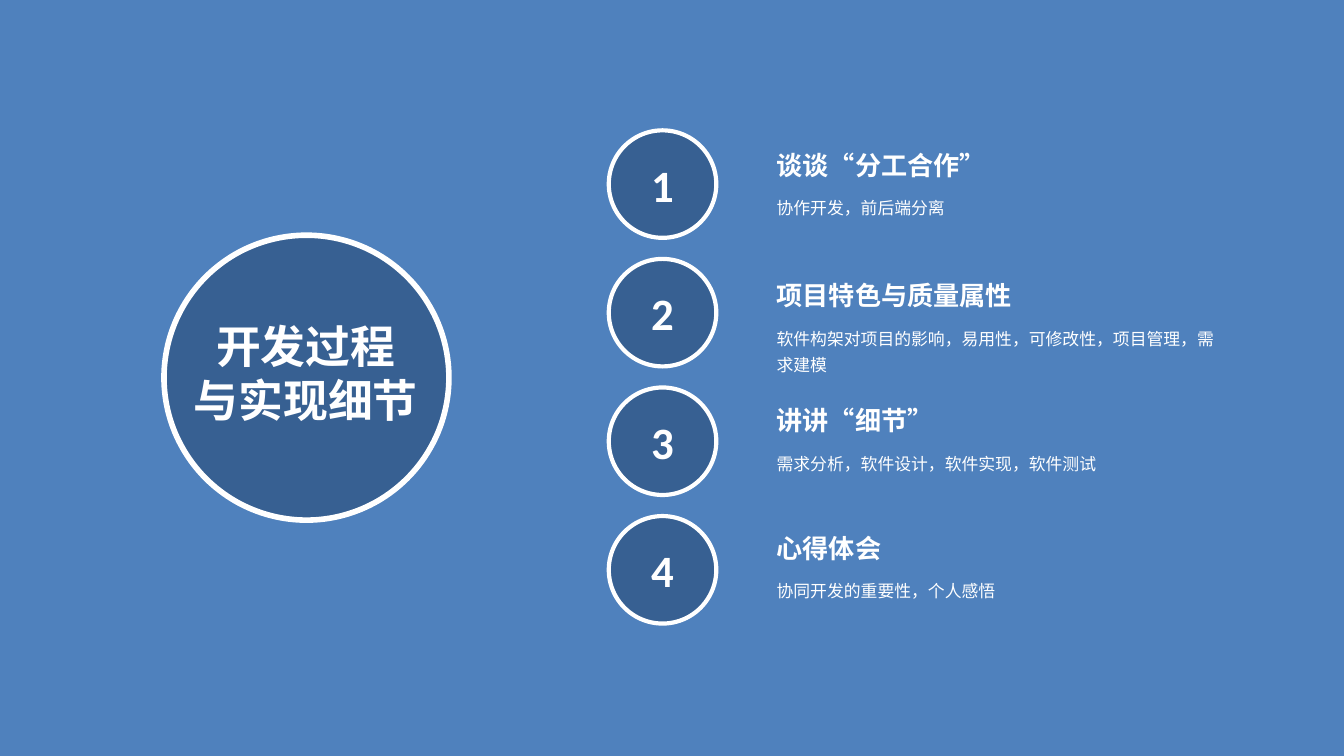
from lxml import etree
from pptx import Presentation
from pptx.dml.color import RGBColor
from pptx.enum import shapes, text
from pptx.oxml.ns import qn
from pptx.util import Inches, Pt

WHITE, BLUE, NAVY = "FFFFFF", "4F81BD", "376092"
CJK = "Noto Sans CJK SC"


def add_run(paragraph, words, size, bold=False, font="Calibri"):
    run = paragraph.add_run()
    run.text = words
    run.font.size = Pt(size)
    run.font.bold = bold
    run.font.name = font
    run.font.color.rgb = RGBColor.from_string(WHITE)
    properties = run._r.get_or_add_rPr()
    properties.set("lang", "zh-CN")
    etree.SubElement(properties, qn("a:ea")).set("typeface", CJK)


def add_panel(kind, left, top, width, height, fill, outline=None):
    panel = slide.shapes.add_shape(kind, left, top, width, height)
    panel.shadow.inherit = False
    panel.fill.solid()
    panel.fill.fore_color.rgb = RGBColor.from_string(fill)
    if outline:
        panel.line.color.rgb = RGBColor.from_string(WHITE)
        panel.line.width = Pt(outline)
    else:
        panel.line.fill.background()
    return panel


prs = Presentation()
prs.slide_width = Inches(10)
prs.slide_height = Inches(10 * 9 / 16)
slide = prs.slides.add_slide(prs.slide_layouts[5])

add_panel(shapes.MSO_SHAPE.RECTANGLE, 0, 0, prs.slide_width, prs.slide_height, BLUE)

topics = [
    (1.06, "谈谈“分工合作”", 1.77, "协作开发，前后端分离", 0.28),
    (2.03, "项目特色与质量属性", 1.97,
     "软件构架对项目的影响，易用性，可修改性，项目管理，需求建模", 0.69),
    (2.96, "讲讲“细节”", 1.38, "需求分析，软件设计，软件实现，软件测试", 0.28),
    (3.91, "心得体会", 0.99, "协同开发的重要性，个人感悟", 0.28),
]
first_badge, last_badge = 0.97, 3.84
badge_step = (last_badge - first_badge) / (len(topics) - 1)

for index, (top, heading, heading_width, detail, detail_height) in enumerate(topics):
    badge = add_panel(shapes.MSO_SHAPE.OVAL, Inches(4.53),
                      Inches(first_badge + index * badge_step),
                      Inches(0.8), Inches(0.8), NAVY, 2.25)
    badge.text_frame.vertical_anchor = text.MSO_ANCHOR.MIDDLE
    number = badge.text_frame.paragraphs[0]
    number.alignment = text.PP_ALIGN.CENTER
    add_run(number, str(index + 1), 24, bold=True)

    heading_frame = slide.shapes.add_textbox(
        Inches(5.68), Inches(top), Inches(heading_width), Inches(0.34)).text_frame
    heading_frame.word_wrap = False
    heading_frame.auto_size = text.MSO_AUTO_SIZE.SHAPE_TO_FIT_TEXT
    add_run(heading_frame.paragraphs[0], heading, 14, bold=True)

    detail_frame = slide.shapes.add_textbox(
        Inches(5.68), Inches(top + 0.32), Inches(3.48), Inches(detail_height)).text_frame
    detail_frame.word_wrap = True
    detail_frame.auto_size = text.MSO_AUTO_SIZE.SHAPE_TO_FIT_TEXT
    detail_frame.paragraphs[0].line_spacing = 1.3
    add_run(detail_frame.paragraphs[0], detail, 9)

add_panel(shapes.MSO_SHAPE.OVAL, Inches(1.22), Inches(1.75),
          Inches(2.12), Inches(2.12), NAVY, 3)

title = slide.shapes.title
title.left, title.top = Inches(1.17), Inches(2.32)
title.width, title.height = Inches(2.21), Inches(0.91)
slide.shapes._spTree.append(title._element)
title_frame = title.text_frame
title_frame.word_wrap = True
title_frame.auto_size = text.MSO_AUTO_SIZE.SHAPE_TO_FIT_TEXT
title_frame.vertical_anchor = text.MSO_ANCHOR.TOP
for index, words in enumerate(["开发过程", "与实现细节"]):
    line = title_frame.add_paragraph() if index else title_frame.paragraphs[0]
    line.alignment = text.PP_ALIGN.CENTER
    line.space_before = Pt(0)
    add_run(line, words, 24, bold=True, font=CJK)

prs.save("out.pptx")
